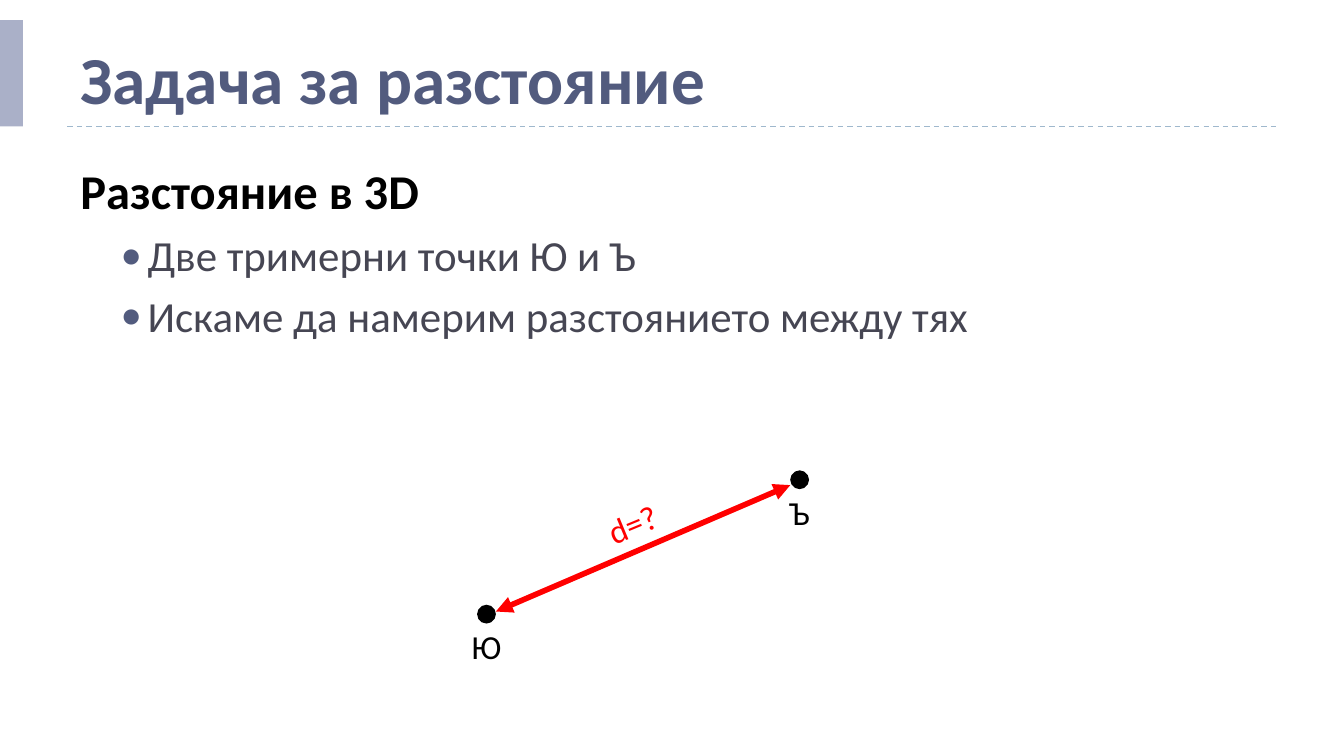
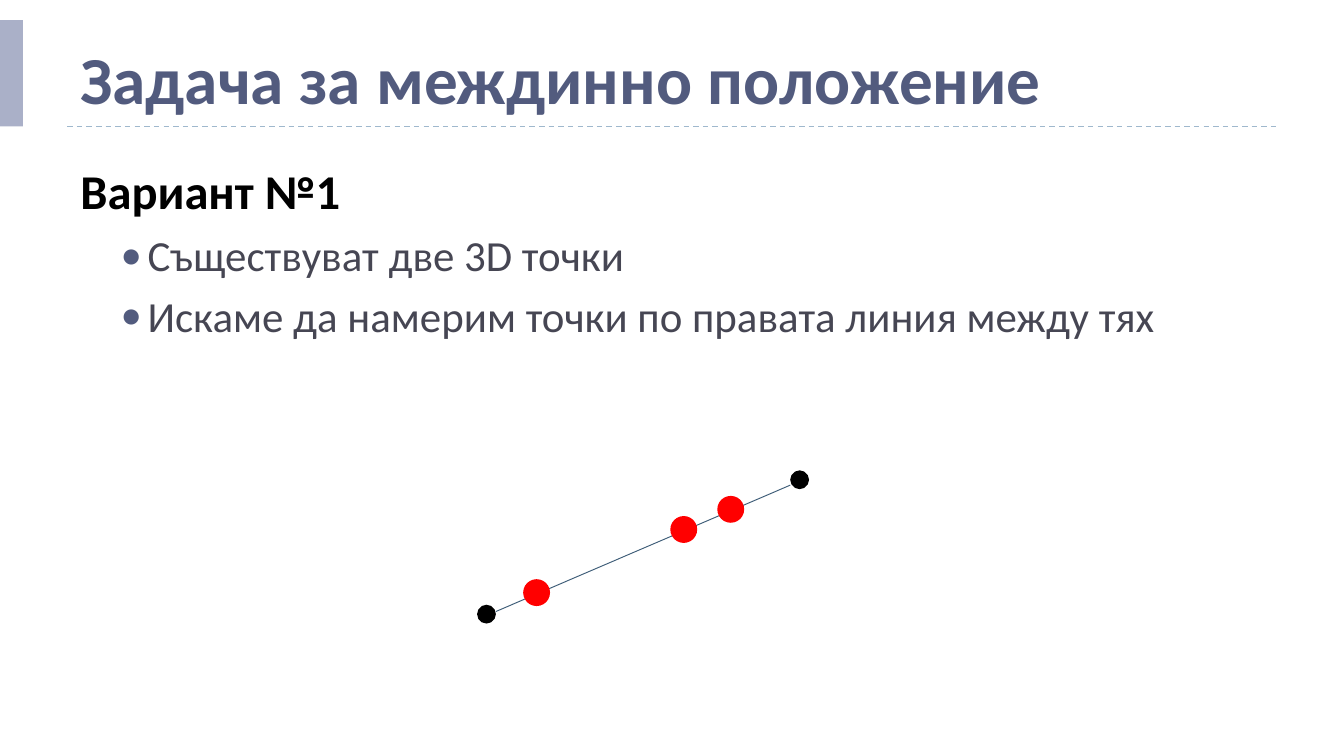
from collections import namedtuple
from dataclasses import dataclass

from lxml import etree
from pptx import Presentation
from pptx.dml.color import RGBColor
from pptx.enum import dml, shapes, text
from pptx.oxml.ns import qn
from pptx.util import Inches, Pt

Box = namedtuple("Box", "left top width height")
Point = namedtuple("Point", "x y")


@dataclass(frozen=True)
class Theme:
    font: str = "Calibri"
    title: str = "525B7E"
    band: str = "AAB0C8"
    rule: str = "9FB8CD"
    heading: str = "000000"
    bullet: str = "464653"
    point: str = "000000"
    accent: str = "FF0000"
    segment: str = "3E5D78"
    title_size: int = 36
    heading_size: int = 26
    bullet_size: int = 23
    label_size: int = 18


THEME = Theme()
PAGE_WIDTH = 10
PAGE_HEIGHT = PAGE_WIDTH * 9 / 16
HEADER = Box(0, 0.12, PAGE_WIDTH, 0.82)
BODY = Box(0.5, 1.15, 9.33, 4.42)
DIAGRAM = Box(3.62, 3.57, 2.33, 1.0)  # corners are the two end points

DOT = 0.14
MIDDLE_DOT = 0.2


def color(code):
    return RGBColor.from_string(code)


def style(paragraph, size, code, bold=False):
    font = paragraph.font
    font.name, font.size, font.bold = THEME.font, Pt(size), bold
    font.color.rgb = color(code)


def add_solid(slide, kind, box, code):
    solid = slide.shapes.add_shape(kind, *map(Inches, box))
    solid.shadow.inherit = False
    solid.fill.solid()
    solid.fill.fore_color.rgb = color(code)
    solid.line.fill.background()


def add_dot(slide, center, diameter, code):
    box = Box(center.x - diameter / 2, center.y - diameter / 2, diameter, diameter)
    add_solid(slide, shapes.MSO_SHAPE.OVAL, box, code)


def add_line(slide, start, end, code, width):
    line = slide.shapes.add_connector(
        shapes.MSO_CONNECTOR.STRAIGHT, *map(Inches, (*start, *end)))
    line.line.color.rgb = color(code)
    line.line.width = Pt(width)
    etree.SubElement(line._element.spPr, qn("a:effectLst"))
    return line


def add_arrowheads(line):
    outline = line.line._get_or_add_ln()
    for end in ("a:headEnd", "a:tailEnd"):
        etree.SubElement(outline, qn(end), type="triangle")


def add_text_frame(slide, box, anchor, wrap=True):
    holder = slide.shapes.add_textbox(*map(Inches, box))
    frame = holder.text_frame
    frame.word_wrap = wrap
    frame.vertical_anchor = anchor
    return holder, frame


def add_label(slide, box, words, code, rotation=0):
    holder, frame = add_text_frame(slide, box, text.MSO_ANCHOR.MIDDLE, wrap=False)
    frame.margin_left = frame.margin_right = frame.margin_top = frame.margin_bottom = 0
    holder.rotation = rotation
    paragraph = frame.paragraphs[0]
    paragraph.text = words
    paragraph.alignment = text.PP_ALIGN.CENTER
    style(paragraph, THEME.label_size, code)


def set_bullet(paragraph):
    props = paragraph._p.get_or_add_pPr()
    props.set("marL", str(Inches(0.5)))
    props.set("indent", str(Inches(-0.2)))
    tint = etree.SubElement(props, qn("a:buClr"))
    etree.SubElement(tint, qn("a:srgbClr"), val=THEME.title)
    etree.SubElement(props, qn("a:buFont"), typeface=THEME.font)
    etree.SubElement(props, qn("a:buChar"), char="•")


def add_header(slide, box, title):
    # Dashed rule and side band
    bottom = box.top + box.height
    rule = add_line(slide, (box.left + 0.5, bottom),
                    (box.left + box.width - 0.5, bottom), THEME.rule, 0.75)
    rule.line.dash_style = dml.MSO_LINE.DASH
    add_solid(slide, shapes.MSO_SHAPE.RECTANGLE,
              Box(box.left, box.top + 0.03, 0.17, box.height - 0.03), THEME.band)
    # Title
    title_box = Box(box.left + 0.5, box.top, box.width - 0.67, box.height - 0.01)
    _, frame = add_text_frame(slide, title_box, text.MSO_ANCHOR.BOTTOM)
    frame.text = title
    style(frame.paragraphs[0], THEME.title_size, THEME.title, bold=True)


def add_body(slide, box, heading, bullets):
    _, frame = add_text_frame(slide, box, text.MSO_ANCHOR.TOP)
    frame.text = heading
    style(frame.paragraphs[0], THEME.heading_size, THEME.heading, bold=True)
    for words in bullets:
        paragraph = frame.add_paragraph()
        paragraph.text = words
        paragraph.level = 1
        paragraph.space_before = Pt(5)
        set_bullet(paragraph)
        style(paragraph, THEME.bullet_size, THEME.bullet)


def add_segment(slide, box, code, width):
    """Two end points and the line between their edges."""
    start = Point(box.left, box.top + box.height)
    end = Point(box.left + box.width, box.top)
    for center in (start, end):
        add_dot(slide, center, DOT, THEME.point)
    line = add_line(slide, (start.x + 0.07, start.y - 0.02),
                    (end.x - 0.07, end.y + 0.04), code, width)
    return start, end, line


def add_distance_diagram(slide, box):
    start, end, arrow = add_segment(slide, box, THEME.accent, 3)
    add_arrowheads(arrow)
    # Names below the end points
    for center, name in ((start, "Ю"), (end, "Ъ")):
        add_label(slide, Box(center.x - 0.2, center.y + 0.04, 0.4, 0.4), name, THEME.point)
    # Distance along the arrow
    add_label(slide, Box(box.left + 0.68, box.top + 0.21, 0.81, 0.23),
              "d=?", THEME.accent, rotation=337.5)


def add_between_diagram(slide, box):
    start, end, _ = add_segment(slide, box, THEME.segment, 0.5)
    # Points at given shares of the way
    for share in (0.16, 0.63, 0.78):
        middle = Point(start.x + share * (end.x - start.x),
                       start.y + share * (end.y - start.y))
        add_dot(slide, middle, MIDDLE_DOT, THEME.accent)


def add_task_slide(deck, title, heading, bullets, add_diagram):
    slide = deck.slides.add_slide(deck.slide_layouts[6])
    add_header(slide, HEADER, title)
    add_body(slide, BODY, heading, bullets)
    add_diagram(slide, DIAGRAM)


def main():
    deck = Presentation()
    deck.slide_width, deck.slide_height = Inches(PAGE_WIDTH), Inches(PAGE_HEIGHT)
    add_task_slide(
        deck, "Задача за разстояние", "Разстояние в 3D",
        ("Две тримерни точки Ю и Ъ", "Искаме да намерим разстоянието между тях"),
        add_distance_diagram)
    add_task_slide(
        deck, "Задача за междинно положение", "Вариант №1",
        ("Съществуват две 3D точки", "Искаме да намерим точки по правата линия между тях"),
        add_between_diagram)
    deck.save("out.pptx")


if __name__ == "__main__":
    main()
